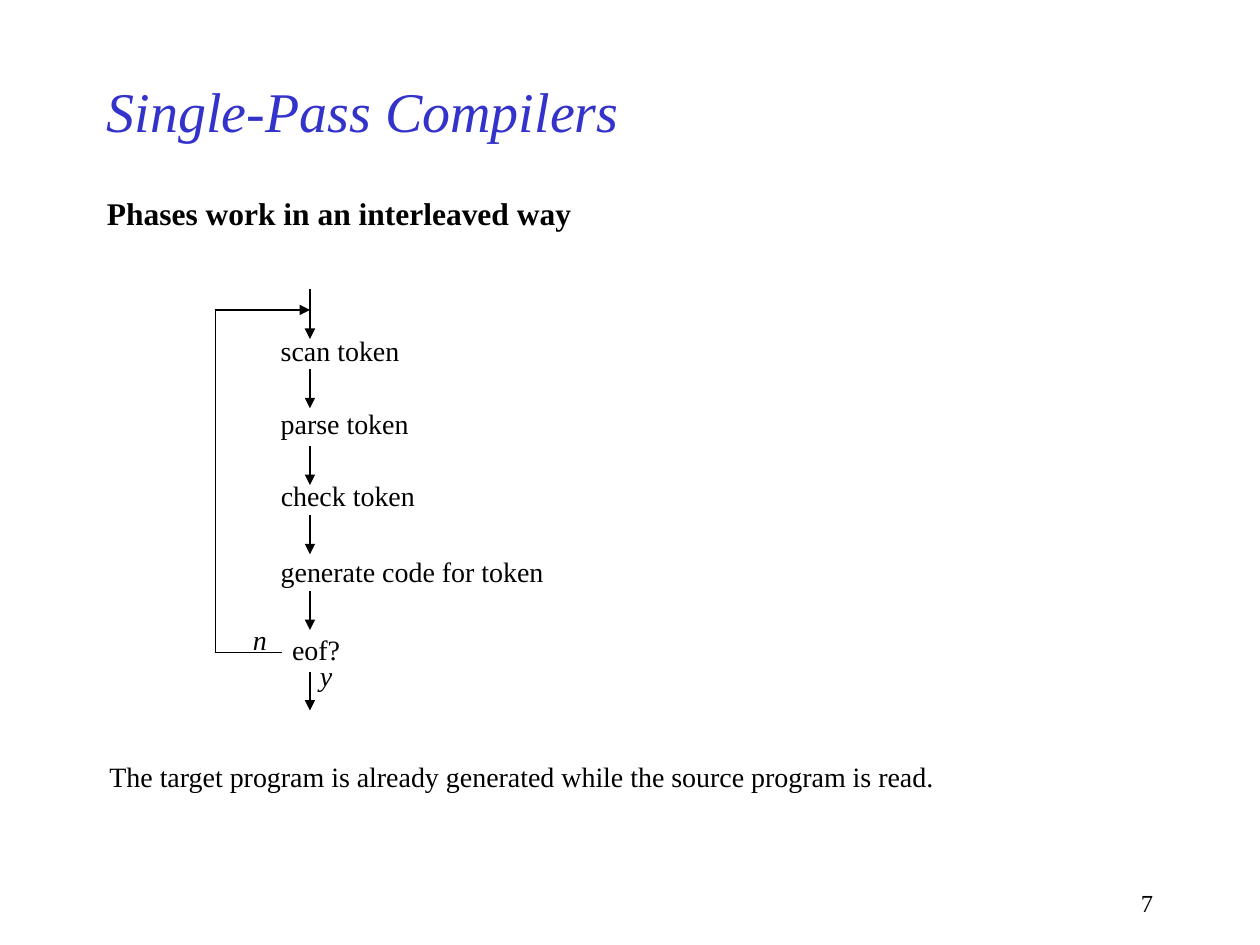
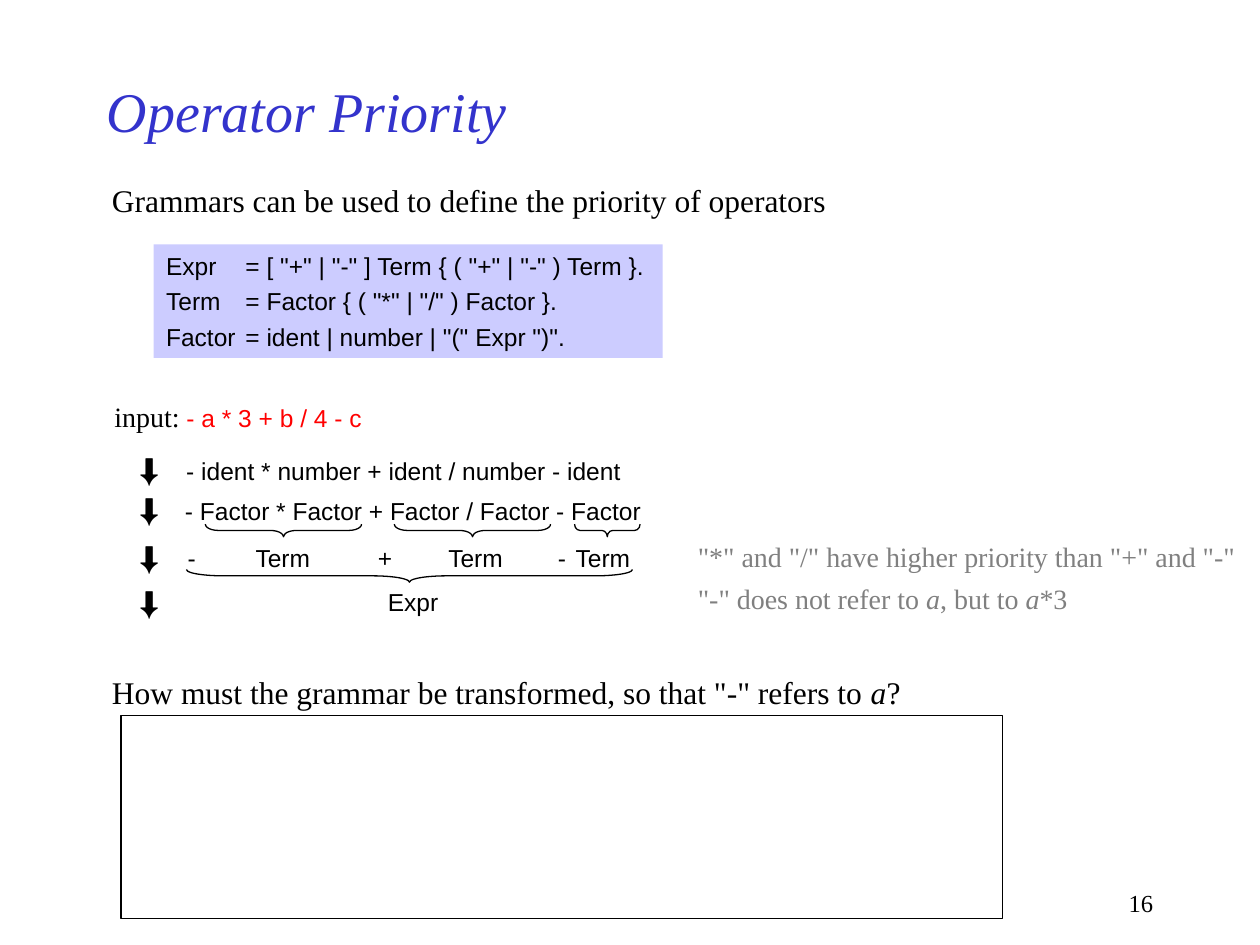
from pptx import Presentation
from pptx import util as u
from pptx.dml.color import RGBColor
from pptx.enum import shapes, text
from pptx.oxml.ns import qn
from lxml import etree

BLACK = RGBColor(0x00, 0x00, 0x00)
WHITE = RGBColor(0xFF, 0xFF, 0xFF)
TITLE_BLUE = RGBColor(0x33, 0x33, 0xCC)
GRAMMAR_FILL = RGBColor(0xCC, 0xCC, 0xFF)
INPUT_RED = RGBColor(0xFF, 0x00, 0x00)
REMARK_GRAY = RGBColor(0x80, 0x80, 0x80)

SERIF, SANS, SYMBOL = "Times New Roman", "Arial", "Lato"
LINE_HEIGHT = {18: 0.4, 16: 0.37, 14: 0.34}  # box height by font size
LINE_WIDTH = u.Pt(0.75)
SLACK = 0.02  # extra width that keeps a single line from breaking


class SlideWriter:
    """Holds the deck, the shared style and the slide being written."""

    def __init__(self):
        self.deck = Presentation()
        self.deck.slide_width = u.Inches(10)
        self.deck.slide_height = u.Inches(7.5)
        self.page = None

    def new_slide(self, title, number):
        self.page = self.deck.slides.add_slide(self.deck.slide_layouts[6])
        box = self.text(0.75, 0.5, 7.5, title, size=32, color=TITLE_BLUE,
                        italic=True, height=0.75, wrap=True)
        box.text_frame.vertical_anchor = text.MSO_ANCHOR.MIDDLE
        footer = self.text(7.17, 7, 2.08, str(number), size=14, height=0.33, wrap=True)
        footer.text_frame.paragraphs[0].alignment = text.PP_ALIGN.RIGHT

    def text(self, left, top, width, content, height=None, wrap=False, **style):
        """Content is a string, or a list of (string, style changes)."""
        height = height or LINE_HEIGHT[style.get("size", 16)]
        if not wrap:
            width += SLACK
        box = self.page.shapes.add_textbox(
            u.Inches(left), u.Inches(top), u.Inches(width), u.Inches(height))
        frame = box.text_frame
        frame.word_wrap = wrap
        if not wrap:
            frame.auto_size = text.MSO_AUTO_SIZE.SHAPE_TO_FIT_TEXT
        spans = [(content, {})] if isinstance(content, str) else content
        for words, changes in spans:
            span = frame.paragraphs[0].add_run()
            span.text = words
            self.format(span, **{**style, **changes})
        return box

    def format(self, span, size=16, font=SERIF, color=BLACK, bold=False, italic=False):
        span.font.size = u.Pt(size)
        span.font.name = font
        span.font.color.rgb = color
        span.font.bold = bold
        span.font.italic = italic

    def shape(self, kind, left, top, width, height, fill=None, outlined=True):
        shape = self.page.shapes.add_shape(
            kind, u.Inches(left), u.Inches(top), u.Inches(width), u.Inches(height))
        shape.shadow.inherit = False
        if fill is None:
            shape.fill.background()
        else:
            shape.fill.solid()
            shape.fill.fore_color.rgb = fill
        if outlined:
            shape.line.color.rgb = BLACK
            shape.line.width = LINE_WIDTH
        else:
            shape.line.fill.background()
        return shape

    def code_box(self, left, top, width, height, rules, tab):
        box = self.shape(shapes.MSO_SHAPE.RECTANGLE, left, top, width, height,
                         GRAMMAR_FILL, outlined=False)
        frame = box.text_frame
        frame.word_wrap = False
        frame.vertical_anchor = text.MSO_ANCHOR.TOP
        frame.text = "\n".join(rules)
        for para in frame.paragraphs:
            para.alignment = text.PP_ALIGN.LEFT
            para.space_before = u.Pt(3.5)
            tabs = etree.SubElement(para._p.get_or_add_pPr(), qn("a:tabLst"))
            etree.SubElement(tabs, qn("a:tab"), pos=str(u.Inches(tab)), algn="l")
            for span in para.runs:
                self.format(span, size=14, font=SANS)

    def line(self, start, end, arrow=False):
        line = self.page.shapes.add_connector(
            shapes.MSO_CONNECTOR.STRAIGHT, *map(u.Inches, start + end))
        line.line.color.rgb = BLACK
        line.line.width = LINE_WIDTH
        if arrow:
            etree.SubElement(line.line._get_or_add_ln(), qn("a:tailEnd"), type="triangle")
        etree.SubElement(line._element.spPr, qn("a:effectLst"))

    def brace_below(self, left, top, length, depth=0.1):
        """A left brace turned so that its point faces down."""
        middle_x, middle_y = left + length / 2, top + depth / 2
        brace = self.shape(shapes.MSO_SHAPE.LEFT_BRACE, middle_x - depth / 2,
                           middle_y - length / 2, depth, length)
        brace.rotation = 270
        brace.adjustments[0] = length / depth / 12


def single_pass_slide(writer):
    writer.new_slide("Single-Pass Compilers", 7)
    writer.text(0.75, 1.49, 3.89, "Phases work in an interleaved way", size=18, bold=True)

    # Phases
    for left, top, width, phase in [
            (2.13, 2.6, 1.14, "scan token"), (2.13, 3.18, 1.21, "parse token"),
            (2.13, 3.75, 1.26, "check token"),
            (2.13, 4.35, 2.28, "generate code for token"), (2.22, 4.97, 0.58, "eof?")]:
        writer.text(left, top, width, phase)

    # Flow downwards
    flow_x, loop_x, loop_top, loop_bottom = 2.46, 1.71, 2.46, 5.18
    writer.line((flow_x, 2.29), (flow_x, 2.69), arrow=True)
    for top in (2.93, 3.54, 4.09, 4.69, 5.33):
        writer.line((flow_x, top), (flow_x, top + 0.31), arrow=True)

    # Loop back to the first phase
    writer.line((2.24, loop_bottom), (loop_x, loop_bottom))
    writer.line((loop_x, loop_bottom), (loop_x, loop_top))
    writer.line((loop_x, loop_top), (flow_x, loop_top), arrow=True)
    writer.text(1.91, 4.89, 0.31, "n", italic=True)
    writer.text(2.44, 5.18, 0.3, "y", italic=True)

    writer.text(0.77, 5.98, 6.75, "The target program is already generated "
                "while the source program is read.")


def operator_priority_slide(writer):
    writer.new_slide("Operator Priority", 16)
    writer.text(0.79, 1.39, 5.87,
                "Grammars can be used to define the priority of operators", size=18)
    writer.code_box(1.22, 1.94, 4.04, 0.9, [
        'Expr\t= [ "+" | "-" ] Term { ( "+" | "-" ) Term }.',
        'Term\t= Factor { ( "*" | "/" ) Factor }.',
        'Factor\t= ident | number | "(" Expr ")".'], tab=0.63)

    code = {"size": 14, "font": SANS}
    italic = {"italic": True}
    writer.text(0.81, 3.12, 2.16, [
        ("input:", {}), (" ", code), ("- a * 3 + b / 4 - c", {**code, "color": INPUT_RED})])

    # Reduction steps
    for top in (3.52, 3.84, 4.22, 4.58):
        writer.text(1.01, top, 0.29, "⬇", size=18, font=SYMBOL)
    for left, top, width, symbols in [
            (1.38, 3.57, 3.65, "- ident * number + ident / number - ident"),
            (1.37, 3.89, 3.82, "- Factor * Factor + Factor / Factor - Factor"),
            (1.39, 4.26, 0.26, "-"), (1.93, 4.26, 0.65, "Term"),
            (2.9, 4.26, 0.31, "+"), (3.46, 4.26, 0.65, "Term"),
            (4.33, 4.26, 0.26, "-"), (4.47, 4.26, 0.65, "Term"),
            (2.98, 4.61, 0.6, "Expr")]:
        writer.text(left, top, width, symbols, **code)
    for left, top, length in [
            (1.63, 4.16, 1.24), (3.13, 4.16, 1.24), (4.56, 4.16, 0.52), (1.48, 4.52, 3.54)]:
        writer.brace_below(left, top, length)

    # Remarks
    writer.text(5.44, 4.23, 4.46, '"*" and "/" have higher priority than "+" and "-"',
                color=REMARK_GRAY)
    writer.text(5.44, 4.57, 3.13, [
        ('"-" does not refer to ', {}), ("a", italic), (", but to ", {}),
        ("a", italic), ("*3", {})], color=REMARK_GRAY)

    # Question with room for the answer
    writer.text(0.79, 5.29, 6.46, [
        ('How must the grammar be transformed, so that "-" refers to ', {}),
        ("a", italic), ("?", {})], size=18)
    writer.shape(shapes.MSO_SHAPE.RECTANGLE, 0.96, 5.68, 7, 1.61, WHITE)


def main():
    writer = SlideWriter()
    single_pass_slide(writer)
    operator_priority_slide(writer)
    writer.deck.save("out.pptx")


if __name__ == "__main__":
    main()
